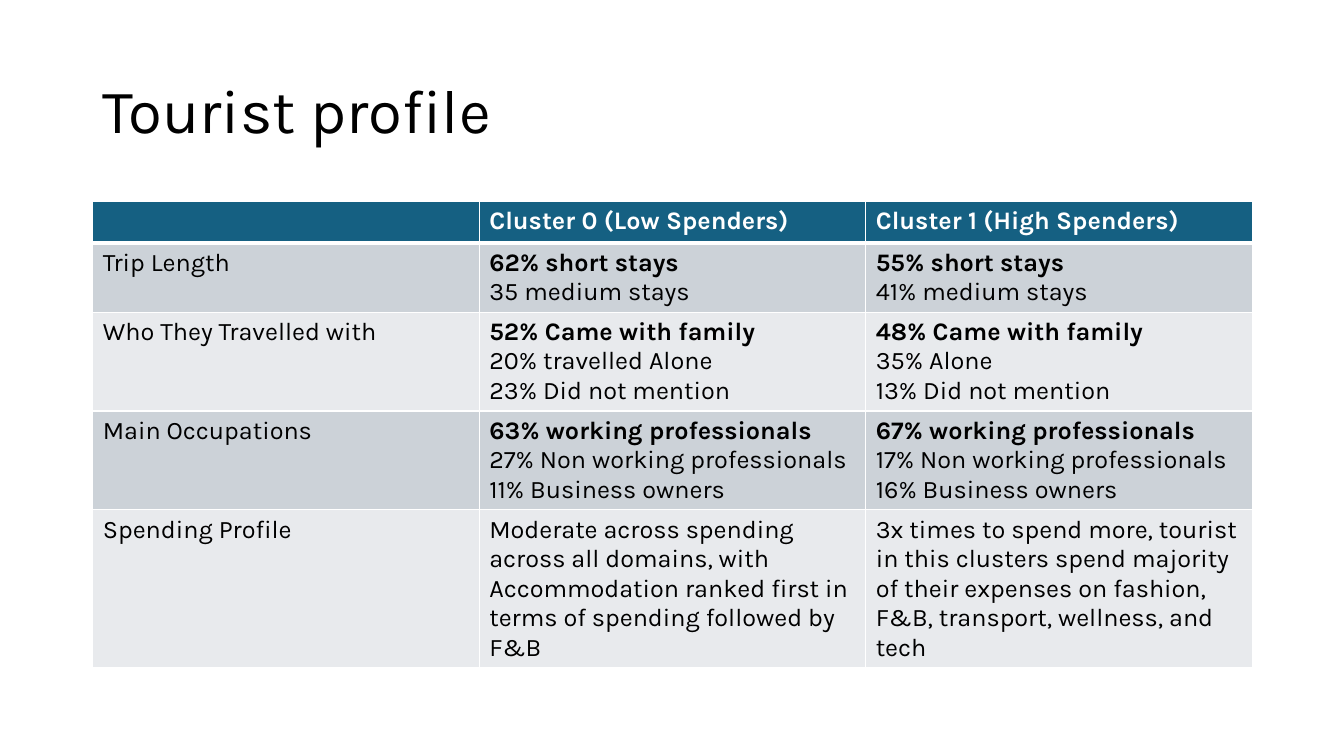
import pptx
import pptx.dml.color
import pptx.enum.text
import pptx.oxml
import pptx.oxml.ns
import pptx.util

FONT = "Karla"
LEFT, WIDTH = 0.92, 11.5
HEADER_FILL = "156082"
BAND_FILLS = ["CCD2D8", "E8EAED"]
ROW_HEIGHTS = [0.41, 0.68, 0.98, 0.98, 1.56]
HEADER = ["", "Cluster 0 (Low Spenders)", "Cluster 1 (High Spenders)"]
PROFILE = [
    ["Trip Length",
     "62% short stays\n35 medium stays",
     "55% short stays\n41% medium stays"],
    ["Who They Travelled with",
     "52% Came with family\n20% travelled Alone\n23% Did not mention",
     "48% Came with family\n35% Alone\n13% Did not mention"],
    ["Main Occupations",
     "63% working professionals\n27% Non working professionals\n11% Business owners",
     "67% working professionals\n17% Non working professionals\n16% Business owners"],
    ["Spending Profile",
     "Moderate across spending across all domains, with Accommodation ranked first "
     "in terms of spending followed by F&B",
     "3x times to spend more, tourist in this clusters spend majority of their "
     "expenses on fashion, F&B, transport, wellness, and tech"],
]


def rgb(color):
    return pptx.dml.color.RGBColor.from_string(color)


def inches(*lengths):
    return [pptx.util.Inches(n) for n in lengths]


def set_font(p, size, color, bold=False):
    p.font.name = FONT
    p.font.size = pptx.util.Pt(size)
    p.font.bold = bold
    p.font.color.rgb = rgb(color)


def set_borders(cell, bottom, top=1):
    """Draw white cell borders; bottom and top are widths in points."""
    tcPr = cell._tc.get_or_add_tcPr()
    widths = {"lnL": 1, "lnR": 1, "lnT": top, "lnB": bottom}
    for i, (side, width) in enumerate(widths.items()):
        tcPr.insert(i, pptx.oxml.parse_xml(
            f'<a:{side} {pptx.oxml.ns.nsdecls("a")} w="{pptx.util.Pt(width)}">'
            f'<a:solidFill><a:srgbClr val="FFFFFF"/></a:solidFill></a:{side}>'))


def add_title(s, text):
    title = s.shapes.title
    title.left, title.top, title.width, title.height = inches(LEFT, 0.4, WIDTH, 1.45)
    tf = title.text_frame
    tf.text = text
    tf.vertical_anchor = pptx.enum.text.MSO_ANCHOR.MIDDLE
    p = tf.paragraphs[0]
    p.alignment = pptx.enum.text.PP_ALIGN.LEFT
    p.line_spacing = 0.9
    set_font(p, 44, "000000")


def fill_cell(cell, text, row):
    """Write one cell; the first of several lines is bold, as is the header."""
    header = row == 0
    cell.fill.solid()
    cell.fill.fore_color.rgb = rgb(HEADER_FILL if header else BAND_FILLS[(row - 1) % 2])
    set_borders(cell, bottom=3 if header else 1, top=3 if row == 1 else 1)
    cell.text = text
    paragraphs = cell.text_frame.paragraphs
    for i, p in enumerate(paragraphs):
        bold = header or (i == 0 and len(paragraphs) > 1)
        set_font(p, 18, "FFFFFF" if header else "000000", bold)


def add_profile_table(s, rows):
    frame = s.shapes.add_table(len(rows), len(HEADER),
                               *inches(LEFT, 2, WIDTH, sum(ROW_HEIGHTS)))
    table = frame.table
    for r, (texts, height) in enumerate(zip(rows, ROW_HEIGHTS)):
        table.rows[r].height = pptx.util.Inches(height)
        for c, text in enumerate(texts):
            fill_cell(table.cell(r, c), text, r)


def main():
    prs = pptx.Presentation()
    prs.slide_width, prs.slide_height = inches(13.33, 7.5)
    s = prs.slides.add_slide(prs.slide_layouts[5])
    add_title(s, "Tourist profile")
    add_profile_table(s, [HEADER] + PROFILE)
    prs.save("out.pptx")


if __name__ == "__main__":
    main()
